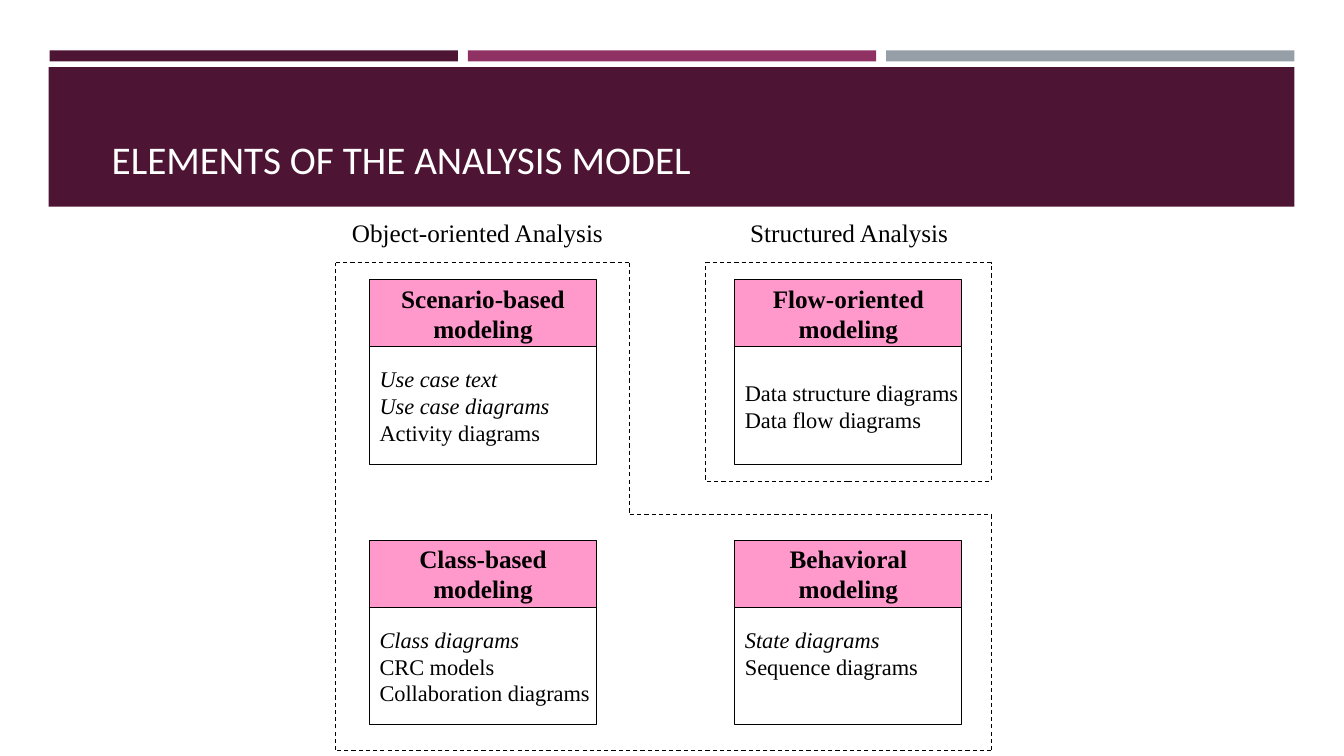
import dataclasses
import itertools

import lxml.etree
import pptx
import pptx.dml.color
import pptx.enum.dml
import pptx.enum.shapes
import pptx.enum.text
import pptx.oxml.ns
import pptx.util

ALIGN = pptx.enum.text.PP_ALIGN
ANCHOR = pptx.enum.text.MSO_ANCHOR


@dataclasses.dataclass(frozen=True)
class Theme:
    """Colours, fonts and sizes used on the slide."""
    plum: str = "4D1434"
    berry: str = "903163"
    steel: str = "969FA7"
    pink: str = "FF99CC"
    white: str = "FFFFFF"
    ink: str = "000000"
    title_font: str = "Calibri"
    body_font: str = "Times New Roman"
    title_size: int = 28
    heading_size: int = 18
    item_size: int = 16
    line_width: float = 0.75


class ModelSlide:
    """One slide laid out on a grid of 160 columns and 90 rows."""
    COLUMNS, ROWS = 160, 90

    def __init__(self, deck, theme):
        """Add a title-only slide to the deck."""
        self.theme = theme
        self.slide = deck.slides.add_slide(deck.slide_layouts[5])
        self.shapes = self.slide.shapes
        self.cell_width = deck.slide_width / self.COLUMNS
        self.cell_height = deck.slide_height / self.ROWS

    def place(self, column, row, *size):
        """Turn a grid position, and a size if given, into slide lengths."""
        lengths = [column * self.cell_width, row * self.cell_height]
        if size:
            lengths += [size[0] * self.cell_width, size[1] * self.cell_height]
        return [round(length) for length in lengths]

    def colour(self, name):
        """Look up a theme colour by name."""
        return pptx.dml.color.RGBColor.from_string(getattr(self.theme, name))

    def outline(self, line, dashed=False):
        """Give a line the common ink, width and optional dashes."""
        line.color.rgb = self.colour("ink")
        line.width = pptx.util.Pt(self.theme.line_width)
        if dashed:
            line.dash_style = pptx.enum.dml.MSO_LINE.DASH

    def set_lines(self, frame, lines, size, align=ALIGN.CENTER, font=None,
                  colour="ink", bold=False, italics=0, wrap=False):
        """Fill a text frame; the first few lines may be italic."""
        frame.text = "\n".join(lines)
        frame.word_wrap = wrap
        for index, paragraph in enumerate(frame.paragraphs):
            paragraph.alignment = align
            for run in paragraph.runs:
                run.font.name = font or self.theme.body_font
                run.font.size = pptx.util.Pt(size)
                run.font.color.rgb = self.colour(colour)
                run.font.bold = bold
                run.font.italic = index < italics

    def box(self, area, fill=None, outlined=False, dashed=False):
        """Draw a rectangle over a grid area."""
        panel = self.shapes.add_shape(
            pptx.enum.shapes.MSO_SHAPE.RECTANGLE, *self.place(*area))
        panel.shadow.inherit = False
        if fill:
            panel.fill.solid()
            panel.fill.fore_color.rgb = self.colour(fill)
        else:
            panel.fill.background()
        if outlined:
            self.outline(panel.line, dashed)
        else:
            panel.line.fill.background()
        return panel

    def title(self, text, area):
        """Bring the title placeholder in front of the banner and fill it."""
        heading = self.shapes.title
        self.shapes.element.append(heading.element)
        heading.left, heading.top, heading.width, heading.height = self.place(*area)
        heading.text_frame.vertical_anchor = ANCHOR.BOTTOM
        self.set_lines(heading.text_frame, [text], self.theme.title_size, ALIGN.LEFT,
                       self.theme.title_font, "white", wrap=True)

    def label(self, text, area):
        """Set a centred heading above a region."""
        caption = self.shapes.add_textbox(*self.place(*area))
        self.set_lines(caption.text_frame, [text], self.theme.heading_size)

    def card(self, column, row, heading, items, italics=0, spare_lines=0):
        """Draw a pink heading above a white box of diagram kinds."""
        width, heading_rows, item_rows = 27, 8, 14
        body = self.box((column, row + heading_rows, width, item_rows), "white", True)
        self.set_lines(body.text_frame, items, self.theme.item_size, ALIGN.LEFT,
                       italics=italics)
        line_height = pptx.util.Pt(self.theme.item_size * 1.2)
        body.text_frame.margin_bottom += spare_lines * line_height
        header = self.box((column, row, width, heading_rows), "pink", True)
        self.set_lines(header.text_frame, heading, self.theme.heading_size, bold=True)

    def dashed_loop(self, corners):
        """Join the corners into a closed dashed border."""
        for start, end in itertools.pairwise(corners + corners[:1]):
            edge = self.shapes.add_connector(
                pptx.enum.shapes.MSO_CONNECTOR.STRAIGHT,
                *self.place(*start), *self.place(*end))
            self.outline(edge.line, dashed=True)
            lxml.etree.SubElement(edge.element.spPr,
                                  pptx.oxml.ns.qn("a:effectLst"))


def build():
    """Build the slide and save the deck."""
    deck = pptx.Presentation()
    deck.slide_width = pptx.util.Inches(13.333)
    deck.slide_height = pptx.util.Inches(7.5)
    theme = Theme()
    page = ModelSlide(deck, theme)

    for index, accent in enumerate(("plum", "berry", "steel")):
        page.box((5.9 + index * 49.8, 6, 48.6, 1.3), accent)
    page.box((5.8, 8, 148.3, 16.6), "plum")
    page.title("ELEMENTS OF THE ANALYSIS MODEL", (12.1, 14.3, 102, 8))

    left, right = 44, 87.5
    upper, lower = 33.3, 64.3
    page.card(left, upper, ["Scenario-based", "modeling"],
              ["Use case text", "Use case diagrams", "Activity diagrams"], italics=2)
    page.card(left, lower, ["Class-based", "modeling"],
              ["Class diagrams", "CRC models", "Collaboration diagrams"], italics=1)
    page.card(right, upper, ["Flow-oriented", "modeling"],
              ["Data structure diagrams", "Data flow diagrams"])
    page.card(right, lower, ["Behavioral", "modeling"],
              ["State diagrams", "Sequence diagrams"], italics=1, spare_lines=1)

    border_top, step, border_bottom = 31.3, 61.3, 89.3
    page.box((84, border_top, 34, 26), outlined=True, dashed=True)
    page.dashed_loop([(40, border_top), (75, border_top), (75, step),
                      (118, step), (118, border_bottom), (40, border_bottom)])
    page.label("Object-oriented Analysis", (40.6, 25.3, 32.5, 4.8))
    page.label("Structured Analysis", (88, 25.3, 26.2, 4.8))

    deck.save("out.pptx")


build()
